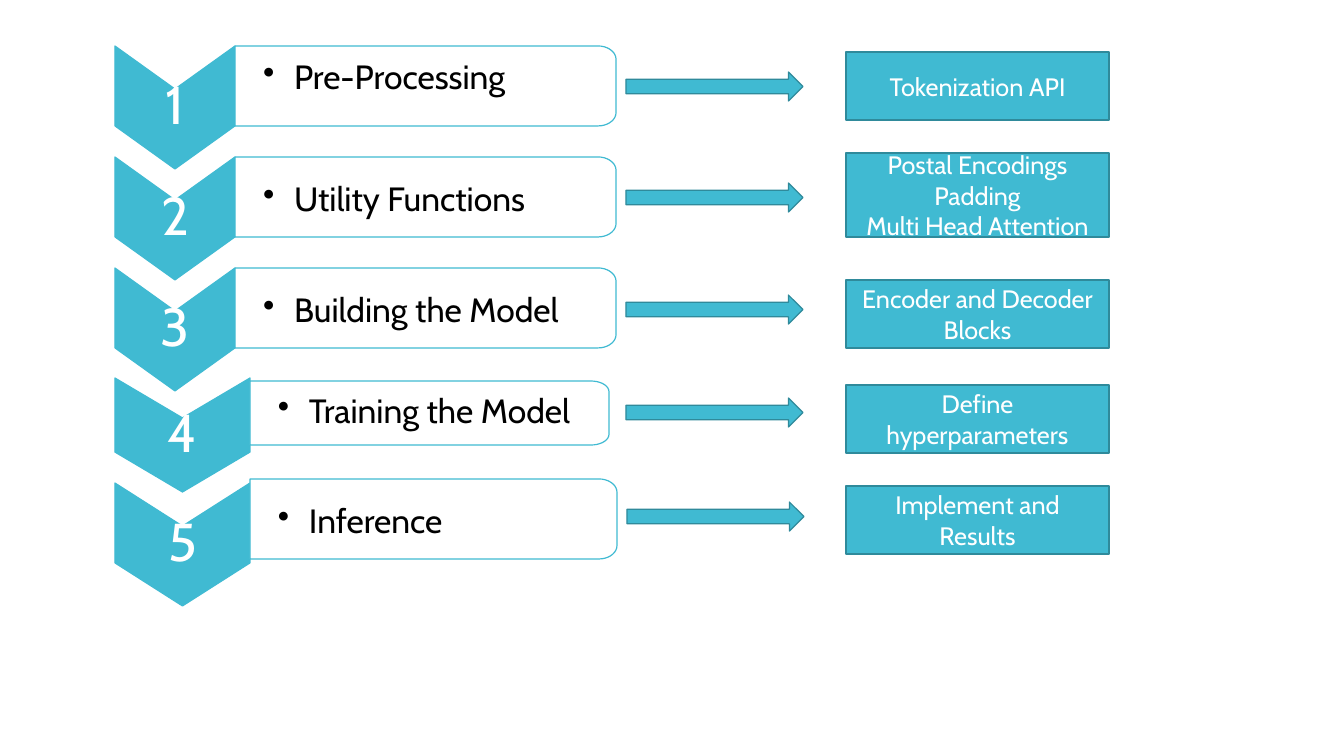
import math
from dataclasses import dataclass

from lxml import etree
from pptx import Presentation
from pptx import util as u
from pptx.dml.color import RGBColor
from pptx.enum import shapes, text
from pptx.oxml.ns import qn

PX = 914400 / 100.8


@dataclass(frozen=True)
class Theme:
    accent: str = "40BAD2"
    accent_dark: str = "2F8A9B"
    panel: str = "FFFFFF"
    panel_alpha: int = 90000
    light_text: str = "FFFFFF"
    dark_text: str = "000000"
    font: str = "Cabin"
    number_size: int = 38
    label_size: int = 24
    detail_size: int = 18
    line_width: float = 0.85


THEME = Theme()

# Boxes are (left, top, width, height); nudge moves a label down from the middle.
STEPS = [
    dict(chevron=(115, 46, 120, 123), panel=(235, 46, 381, 80), nudge=-7,
         label="Pre-Processing", arrow=(626, 72, 177, 29),
         box=(846, 52, 263, 68), details=["Tokenization API"]),
    dict(chevron=(115, 157, 120, 123), panel=(235, 157, 381, 80), nudge=4,
         label="Utility Functions", arrow=(626, 183, 177, 29),
         box=(846, 153, 263, 84),
         details=["Postal Encodings", "Padding", "Multi Head Attention"]),
    dict(chevron=(115, 268, 120, 123), panel=(235, 268, 381, 80), nudge=4,
         label="Building the Model", arrow=(626, 295, 177, 29),
         box=(846, 280, 263, 68), details=["Encoder and Decoder Blocks"]),
    dict(chevron=(115, 378, 135, 114), panel=(250, 381, 359, 64), nudge=0,
         label="Training the Model", arrow=(626, 398, 177, 29),
         box=(846, 385, 263, 68), details=["Define hyperparameters"]),
    dict(chevron=(115, 483, 135, 123), panel=(250, 479, 367, 80), nudge=4,
         label="Inference", arrow=(627, 502, 177, 29),
         box=(846, 486, 263, 68), details=["Implement and Results"]),
]


def px(length):
    return u.Emu(round(length * PX))


def set_all(target, values):
    for name, value in values.items():
        setattr(target, name, value)


def paint(shape, fill, line):
    shape.shadow.inherit = False
    shape.fill.solid()
    shape.fill.fore_color.rgb = RGBColor.from_string(fill)
    shape.line.color.rgb = RGBColor.from_string(line)
    shape.line.width = u.Pt(THEME.line_width)


def write(shape, lines, size, color, paragraph_format, margins):
    """Fill a shape with one paragraph per line; margins are left, top, right, bottom."""
    frame = shape.text_frame
    sides = ("margin_left", "margin_top", "margin_right", "margin_bottom")
    set_all(frame, dict(zip(sides, map(px, margins))))
    set_all(frame, dict(word_wrap=True, vertical_anchor=text.MSO_ANCHOR.MIDDLE))
    for index, line in enumerate(lines):
        paragraph = frame.paragraphs[0] if index == 0 else frame.add_paragraph()
        set_all(paragraph, paragraph_format)
        run = paragraph.add_run()
        run.text = line
        set_all(run.font, dict(name=THEME.font, size=u.Pt(size)))
        run.font.color.rgb = RGBColor.from_string(color)


def add_outline(slide, points):
    start, *rest = [(px(x), px(y)) for x, y in points]
    builder = slide.shapes.build_freeform(*start, scale=1.0)
    builder.add_line_segments(rest, close=True)
    return builder.convert_to_shape()


def add_preset(slide, kind, box):
    shape = slide.shapes.add_shape(kind, *map(px, box))
    paint(shape, THEME.accent, THEME.accent_dark)
    return shape


def add_chevron(slide, box, number):
    left, top, width, height = box
    right, middle, notch = left + width, left + width / 2, height * 0.35
    bottom = top + height
    shape = add_outline(slide, [
        (left, top), (middle, top + notch), (right, top),
        (right, bottom - notch), (middle, bottom), (left, bottom - notch)])
    paint(shape, THEME.accent, THEME.accent)
    write(shape, [str(number)], THEME.number_size, THEME.light_text,
          dict(alignment=text.PP_ALIGN.CENTER, line_spacing=0.9), (3, 0, 3, 0))


def add_panel(slide, box, label, nudge):
    """Place a label panel whose two right corners are rounded."""
    left, top, width, height = box
    radius_x, radius_y = 18, height / 6
    right, bottom = left + width, top + height
    angles = [math.radians(degrees) for degrees in range(0, 91, 10)]
    upper = [(right - radius_x * (1 - math.sin(a)),
              top + radius_y * (1 - math.cos(a))) for a in angles]
    lower = [(x, top + bottom - y) for x, y in reversed(upper)]
    shape = add_outline(slide, [(left, top), *upper, *lower, (left, bottom)])
    paint(shape, THEME.panel, THEME.accent)
    fill_color = shape.fill._xPr.find(qn("a:solidFill"))[0]
    etree.SubElement(fill_color, qn("a:alpha"), val=str(THEME.panel_alpha))

    properties = shape.text_frame.paragraphs[0]._p.get_or_add_pPr()
    properties.set("marL", str(px(31)))
    properties.set("indent", str(px(-31)))
    etree.SubElement(properties, qn("a:buChar"), char="•")
    write(shape, [label], THEME.label_size, THEME.dark_text,
          dict(alignment=text.PP_ALIGN.LEFT, line_spacing=0.9),
          (28, 9 + max(2 * nudge, 0), 9, 9 + max(-2 * nudge, 0)))


def add_detail_box(slide, box, details):
    shape = add_preset(slide, shapes.MSO_SHAPE.RECTANGLE, box)
    write(shape, details, THEME.detail_size, THEME.light_text,
          dict(alignment=text.PP_ALIGN.CENTER), (10, 5, 10, 5))


def add_step(slide, number, step):
    add_chevron(slide, step["chevron"], number)
    add_panel(slide, step["panel"], step["label"], step["nudge"])
    add_preset(slide, shapes.MSO_SHAPE.RIGHT_ARROW, step["arrow"])
    add_detail_box(slide, step["box"], step["details"])


def main():
    presentation = Presentation()
    set_all(presentation, dict(slide_width=px(1344), slide_height=px(756)))
    slide = presentation.slides.add_slide(presentation.slide_layouts[6])
    for number, step in enumerate(STEPS, start=1):
        add_step(slide, number, step)
    presentation.save("out.pptx")


if __name__ == "__main__":
    main()
